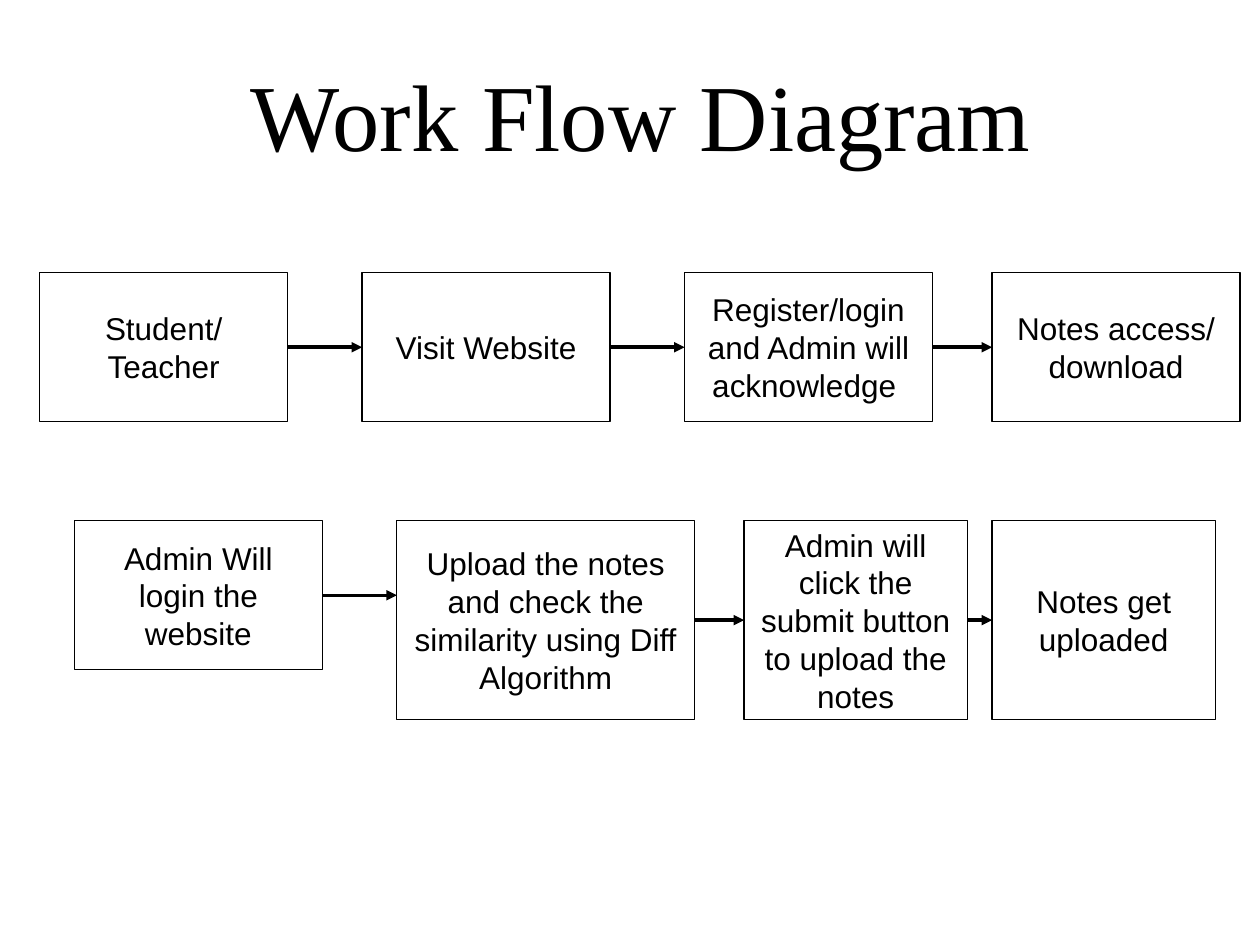
from dataclasses import dataclass
from itertools import pairwise

import pptx
import pptx.dml.color
import pptx.enum.shapes
import pptx.enum.text
import pptx.oxml.ns
import pptx.util
from lxml import etree

BLACK = pptx.dml.color.RGBColor(0, 0, 0)
WHITE = pptx.dml.color.RGBColor(255, 255, 255)
CELL = pptx.util.Cm(0.5)  # grid step
HAIR = pptx.util.Pt(0)


@dataclass(frozen=True)
class Step:
    """One box of the flow; lengths in grid cells."""
    text: str
    col: float
    row: float
    wide: float = 10
    high: float = 6

    @property
    def right(self) -> float:
        return self.col + self.wide

    @property
    def mid(self) -> float:
        return self.row + self.high / 2


TOP, LOW = 11, 21
FLOWS = [
    [
        Step("Student/Teacher", 1.6, TOP),
        Step("Visit Website", 14.6, TOP),
        Step("Register/login\nand Admin will acknowledge ", 27.6, TOP),
        Step("Notes access/ download", 40, TOP),
    ],
    [
        Step("Admin Will login the website", 3, LOW),
        Step("Upload the notes and check the similarity using Diff Algorithm",
             16, LOW, 12, 8),
        Step("Admin will click the submit button to upload the notes",
             30, LOW, 9, 8),
        Step("Notes get uploaded", 40, LOW, 9, 8),
    ],
]


def grid(*cells: float) -> list[int]:
    return [round(cell * CELL) for cell in cells]


def write(shape, text: str, *, font: str = "Arial", size: float = 18,
          foot: float = 0.05) -> None:
    """Set centred text; foot is the bottom inset in inches."""
    frame = shape.text_frame
    frame.text = text
    frame.word_wrap = True
    frame.auto_size = pptx.enum.text.MSO_AUTO_SIZE.NONE
    frame.vertical_anchor = pptx.enum.text.MSO_ANCHOR.MIDDLE
    frame.margin_left = frame.margin_right = pptx.util.Inches(0.1)
    frame.margin_top = pptx.util.Inches(0.05)
    frame.margin_bottom = pptx.util.Inches(foot)
    for para in frame.paragraphs:
        para.alignment = pptx.enum.text.PP_ALIGN.CENTER
        for run in para.runs:
            run.font.name = font
            run.font.size = pptx.util.Pt(size)
            run.font.color.rgb = BLACK


def draw_box(slide, step: Step) -> None:
    box = slide.shapes.add_shape(
        pptx.enum.shapes.MSO_SHAPE.RECTANGLE,
        *grid(step.col, step.row, step.wide, step.high))
    box.shadow.inherit = False
    box.fill.solid()
    box.fill.fore_color.rgb = WHITE
    box.line.color.rgb = BLACK
    box.line.width = HAIR
    write(box, step.text)


def draw_arrow(slide, start: Step, end: Step) -> None:
    """Join two steps at the middle height of the first."""
    arrow = slide.shapes.add_connector(
        pptx.enum.shapes.MSO_CONNECTOR.STRAIGHT,
        *grid(start.right, start.mid, end.col, start.mid))
    arrow.line.color.rgb = BLACK
    arrow.line.width = HAIR
    qn = pptx.oxml.ns.qn
    props = arrow._element.spPr
    etree.SubElement(props.find(qn("a:ln")), qn("a:tailEnd"), type="triangle")
    etree.SubElement(props, qn("a:effectLst"))


def main() -> None:
    deck = pptx.Presentation()
    deck.slide_width = pptx.util.Inches(10)
    deck.slide_height = pptx.util.Inches(7.5)
    slide = deck.slides.add_slide(deck.slide_layouts.get_by_name("Title Only"))

    title = slide.shapes.title
    title.left = round(deck.slide_width * 0.067)
    title.top = round(deck.slide_height * 0.04)
    title.width = round(deck.slide_width * 0.883)
    title.height = round(deck.slide_height / 6)
    write(title, "Work Flow Diagram", font="Times New Roman", size=54, foot=0.1)

    for flow in FLOWS:
        for step in flow:
            draw_box(slide, step)
        for start, end in pairwise(flow):
            draw_arrow(slide, start, end)
    deck.save("out.pptx")


if __name__ == "__main__":
    main()
